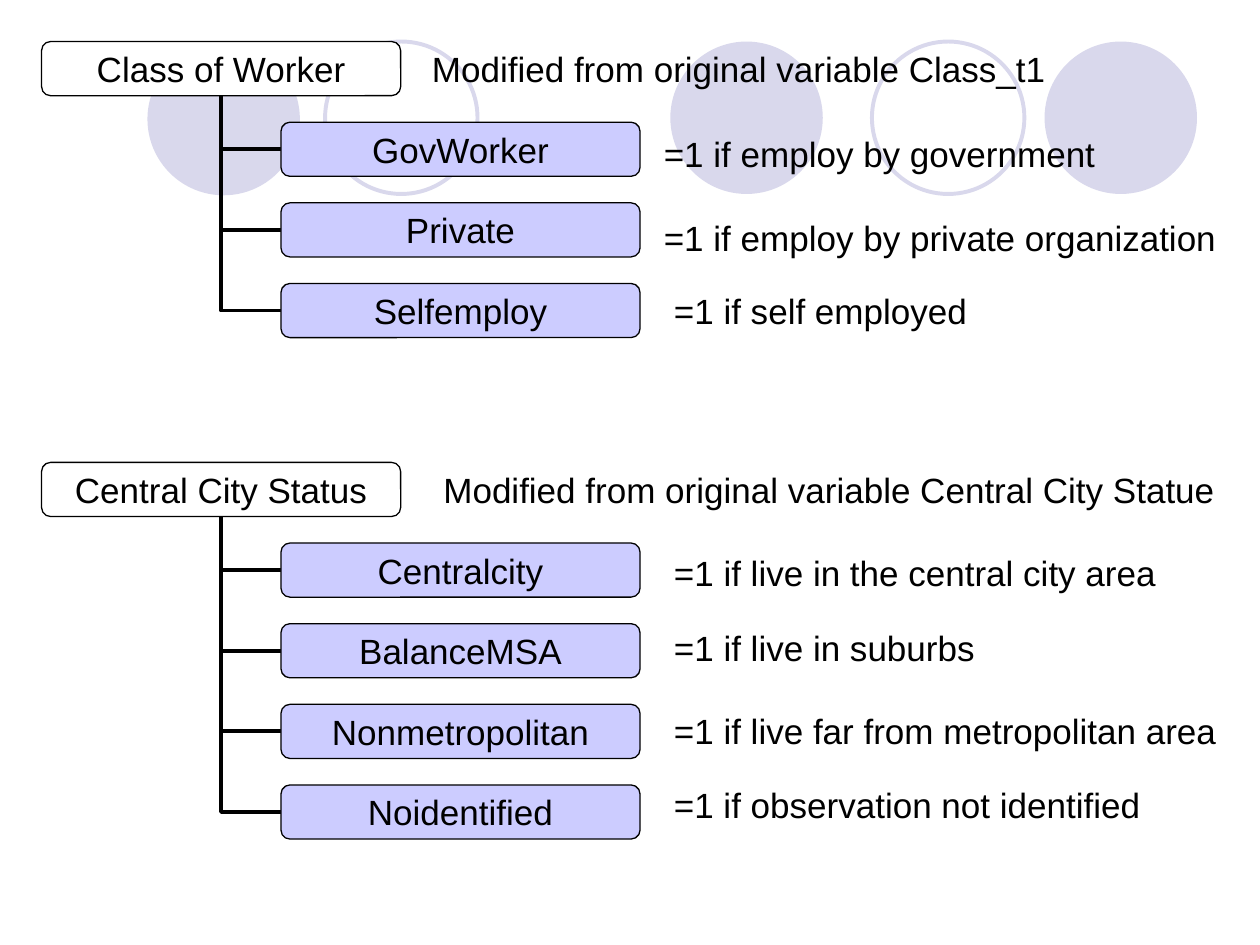
from dataclasses import dataclass

from lxml import etree
from pptx import Presentation
from pptx import util as u
from pptx.dml.color import RGBColor
from pptx.enum import shapes, text
from pptx.oxml.ns import qn

COLORS = {
    "black": "000000",
    "white": "FFFFFF",
    "lavender": "CCCCFF",
    "circle": "D9D8EC",
}
FONT_NAME, FONT_SIZE = "Arial", u.Pt(20)

CIRCLE_SIZE = 1.21
BOX_WIDTH, BOX_HEIGHT = 2.85, 0.43
ROOT_LEFT, CHILD_LEFT = 0.33, 2.23
ROW_PITCH = 0.64
NOTE_HEIGHT = 0.44


@dataclass
class Circle:
    left: float
    top: float
    filled: bool


@dataclass
class Note:
    wording: str
    left: float
    top: float
    width: float


@dataclass
class Tree:
    top: float
    root: str
    children: list[str]
    notes: list[Note]


CIRCLES = [
    Circle(5.32, 0.33, True),
    Circle(8.29, 0.33, True),
    Circle(1.17, 0.34, True),
    Circle(6.92, 0.33, False),
    Circle(2.58, 0.33, False),
]

TREES = [
    Tree(0.33, "Class of Worker", ["GovWorker", "Private", "Selfemploy"], [
        Note("Modified from original variable Class_t1", 3.33, 0.33, 5.17),
        Note("=1 if employ by government", 5.17, 1.0, 4.0),
        Note("=1 if employ by private organization", 5.17, 1.67, 5.08),
        Note("=1 if self employed", 5.25, 2.25, 4.08),
    ]),
    Tree(3.67, "Central City Status",
         ["Centralcity", "BalanceMSA", "Nonmetropolitan", "Noidentified"], [
             Note("Modified from original variable Central City Statue", 3.42, 3.67, 6.58),
             Note("=1 if live in the central city area", 5.25, 4.33, 4.25),
             Note("=1 if live in suburbs", 5.25, 4.92, 5.58),
             Note("=1 if live far from metropolitan area", 5.25, 5.58, 4.75),
             Note("=1 if observation not identified", 5.25, 6.17, 4.33),
         ]),
]


def color(name: str) -> RGBColor:
    return RGBColor.from_string(COLORS[name])


def write_text(shape, wording: str, alignment) -> None:
    paragraph = shape.text_frame.paragraphs[0]
    paragraph.text = wording
    paragraph.alignment = alignment
    paragraph.font.name = FONT_NAME
    paragraph.font.size = FONT_SIZE
    paragraph.font.color.rgb = color("black")


def draw_circle(group, circle: Circle) -> None:
    shape = group.shapes.add_shape(
        shapes.MSO_SHAPE.OVAL, u.Inches(circle.left), u.Inches(circle.top),
        u.Inches(CIRCLE_SIZE), u.Inches(CIRCLE_SIZE))
    shape.shadow.inherit = False
    if circle.filled:
        shape.fill.solid()
        shape.fill.fore_color.rgb = color("circle")
        shape.line.fill.background()
    else:
        shape.fill.background()
        shape.line.color.rgb = color("circle")
        shape.line.width = u.Pt(2.25)


def draw_box(group, wording: str, left: float, top: float, fill: str):
    box = group.shapes.add_shape(
        shapes.MSO_SHAPE.ROUNDED_RECTANGLE, u.Inches(left), u.Inches(top),
        u.Inches(BOX_WIDTH), u.Inches(BOX_HEIGHT))
    box.shadow.inherit = False
    box.fill.solid()
    box.fill.fore_color.rgb = color(fill)
    box.line.color.rgb = color("black")
    box.line.width = u.Pt(0.75)
    frame = box.text_frame
    frame.margin_left = frame.margin_right = frame.margin_top = frame.margin_bottom = 0
    frame.vertical_anchor = text.MSO_ANCHOR.MIDDLE
    frame.word_wrap = False
    write_text(box, wording, text.PP_ALIGN.CENTER)
    return box


def draw_branch(group, root_top: float, child_top: float):
    connector = group.shapes.add_connector(
        shapes.MSO_CONNECTOR.ELBOW,
        u.Inches(CHILD_LEFT), u.Inches(child_top + BOX_HEIGHT / 2),
        u.Inches(ROOT_LEFT + BOX_WIDTH / 2), u.Inches(root_top + BOX_HEIGHT))
    connector.line.color.rgb = color("black")
    connector.line.width = u.Pt(2.25)
    properties = connector._element.spPr
    properties.find(qn("a:prstGeom")).set("prst", "bentConnector2")  # single bend
    etree.SubElement(properties, qn("a:effectLst"))
    return connector


def draw_note(slide, note: Note) -> None:
    box = slide.shapes.add_textbox(
        u.Inches(note.left), u.Inches(note.top),
        u.Inches(note.width), u.Inches(NOTE_HEIGHT))
    box.text_frame.word_wrap = True
    box.text_frame.auto_size = text.MSO_AUTO_SIZE.SHAPE_TO_FIT_TEXT
    write_text(box, note.wording, text.PP_ALIGN.LEFT)


def draw_tree(slide, tree: Tree) -> None:
    group = slide.shapes.add_group_shape()
    tops = [tree.top + ROW_PITCH * row for row in range(1, len(tree.children) + 1)]
    # Branches lie behind the boxes and are joined once the boxes exist
    branches = [draw_branch(group, tree.top, top) for top in tops]
    root = draw_box(group, tree.root, ROOT_LEFT, tree.top, "white")
    for branch, wording, top in zip(branches, tree.children, tops):
        child = draw_box(group, wording, CHILD_LEFT, top, "lavender")
        branch.begin_connect(child, 1)
        branch.end_connect(root, 2)
    for note in tree.notes:
        draw_note(slide, note)


def main() -> None:
    presentation = Presentation()
    presentation.slide_width = u.Inches(10)
    presentation.slide_height = u.Inches(7.5)
    slide = presentation.slides.add_slide(presentation.slide_layouts[6])

    # Background circles
    circle_group = slide.shapes.add_group_shape()
    for circle in CIRCLES:
        draw_circle(circle_group, circle)

    # Variable trees with their explanations
    for tree in TREES:
        draw_tree(slide, tree)

    presentation.save("out.pptx")


if __name__ == "__main__":
    main()
